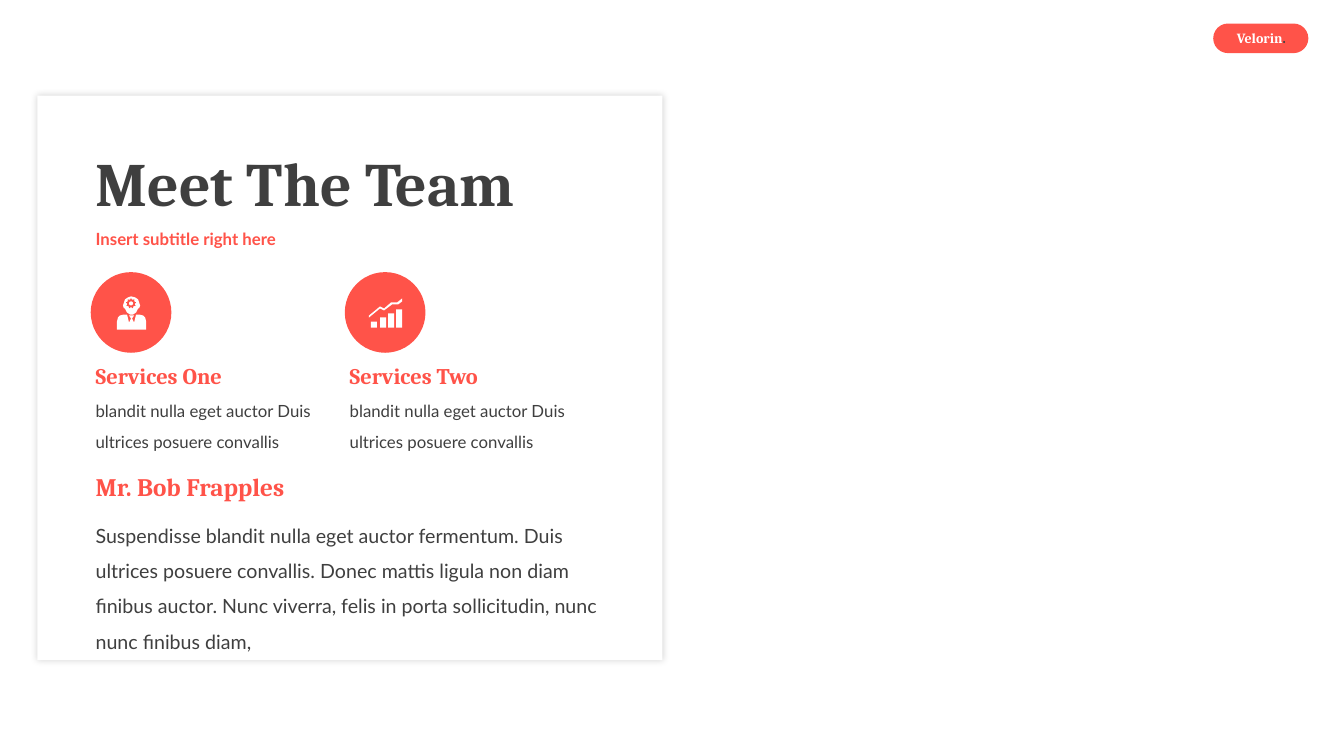
from typing import NamedTuple

from lxml import etree
from pptx import Presentation
from pptx import util as u
from pptx.dml.color import RGBColor
from pptx.enum import shapes, text
from pptx.oxml.ns import qn

PX = 9144  # EMU per px, 100 px to the inch
CORAL = RGBColor(0xFF, 0x53, 0x49)
DARK = RGBColor(0x3F, 0x3F, 0x3F)
WHITE = RGBColor(0xFF, 0xFF, 0xFF)
SERIF, SANS = "Cambria", "Lato"
KIND = shapes.MSO_SHAPE
LEFT, COLUMN_STEP = 85, 252


class Box(NamedTuple):
    x: int
    y: int
    w: int
    h: int


class Run(NamedTuple):
    words: str
    size: int
    font: str
    color: RGBColor
    bold: bool = False


class Label(NamedTuple):
    box: Box
    runs: list[Run]
    spacing: float = 1.0
    align: text.PP_ALIGN = text.PP_ALIGN.LEFT
    anchor: text.MSO_ANCHOR = text.MSO_ANCHOR.TOP


class Service(NamedTuple):
    name: str
    summary: str


def paint(sp, color: RGBColor) -> None:
    sp.shadow.inherit = False
    sp.fill.solid()
    sp.fill.fore_color.rgb = color
    sp.line.fill.background()


def add_block(parent, kind: shapes.MSO_SHAPE, box: Box, color: RGBColor):
    sp = parent.add_shape(kind, *(v * PX for v in box))
    paint(sp, color)
    return sp


def add_outline(parent, points: list[tuple[int, int]], color: RGBColor) -> None:
    builder = parent.build_freeform(*points[0], scale=PX)
    builder.add_line_segments(points[1:], close=True)
    paint(builder.convert_to_shape(), color)


def add_label(parent, label: Label) -> None:
    tf = parent.add_textbox(*(v * PX for v in label.box)).text_frame
    tf.word_wrap = True
    tf.vertical_anchor = label.anchor
    p = tf.paragraphs[0]
    p.alignment = label.align
    p.line_spacing = label.spacing
    for run in label.runs:
        r = p.add_run()
        r.text = run.words
        r.font.size = u.Pt(run.size)
        r.font.name = run.font
        r.font.bold = run.bold
        r.font.color.rgb = run.color


def add_glow(sp, blur_pt: int, opacity: int) -> None:
    effects = sp._element.spPr.find(qn("a:effectLst"))
    shadow = etree.SubElement(effects, qn("a:outerShdw"), blurRad=str(u.Pt(blur_pt)),
                              dist="0", dir="0", algn="ctr", rotWithShape="0")
    color = etree.SubElement(shadow, qn("a:srgbClr"), val="000000")
    etree.SubElement(color, qn("a:alpha"), val=str(opacity * 1000))


def add_person_icon(s) -> None:
    icon = s.shapes.add_group_shape().shapes
    # Shoulders with collar and tie
    add_outline(icon, [(116, 327), (116, 319), (117, 315), (119, 313), (123, 312),
                       (126, 312), (128, 320), (130, 316), (128, 313), (133, 313),
                       (131, 316), (133, 320), (135, 312), (138, 312), (142, 313),
                       (144, 315), (145, 319), (145, 327)], WHITE)
    # Head with a gear inside
    add_outline(icon, [(123, 300), (124, 297), (127, 295), (130, 294), (134, 295),
                       (137, 297), (138, 300), (139, 303), (138, 306), (137, 306),
                       (135, 310), (132, 312), (129, 312), (126, 310), (124, 306),
                       (123, 306), (122, 303)], WHITE)
    add_block(icon, KIND.GEAR_9, Box(125, 296, 10, 10), CORAL)
    add_block(icon, KIND.OVAL, Box(128, 299, 4, 4), WHITE)


def add_growth_icon(s) -> None:
    icon = s.shapes.add_group_shape().shapes
    for i, x in enumerate((368, 377, 385, 393)):
        height = 6 + 4 * i
        add_block(icon, KIND.RECTANGLE, Box(x, 325 - height, 6, height), WHITE)
    add_outline(icon, [(394, 300), (388, 300), (381, 306), (377, 304), (366, 313),
                       (366, 315), (377, 306), (381, 308), (389, 302), (395, 302),
                       (399, 299), (399, 296)], WHITE)


def main() -> None:
    prs = Presentation()
    prs.slide_width, prs.slide_height = 1333 * PX, 750 * PX
    s = prs.slides.add_slide(prs.slide_layouts[6])

    # Name badge
    badge = add_block(s.shapes, KIND.ROUNDED_RECTANGLE, Box(1204, 24, 93, 28), CORAL)
    badge.adjustments[0] = 0.5
    badge.line.color.rgb = CORAL
    badge.line.width = u.Pt(1)
    add_label(s.shapes, Label(Box(1213, 24, 76, 27),
                              [Run("Velorin", 10, SERIF, WHITE, True),
                               Run(".", 10, SERIF, DARK, True)],
                              align=text.PP_ALIGN.CENTER))

    # Card
    card = add_block(s.shapes, KIND.RECTANGLE, Box(37, 95, 620, 560), WHITE)
    add_glow(card, blur_pt=5, opacity=16)

    # Headings and biography
    middle = text.MSO_ANCHOR.MIDDLE
    biography = ("Suspendisse blandit nulla eget auctor fermentum. Duis ultrices posuere "
                 "convallis. Donec mattis ligula non diam finibus auctor. Nunc viverra, "
                 "felis in porta sollicitudin, nunc nunc finibus diam,")
    for label in (
        Label(Box(LEFT, 134, 750, 103), [Run("Meet The Team", 44, SERIF, DARK, True)],
              0.9, anchor=middle),
        Label(Box(LEFT, 219, 750, 38),
              [Run("Insert subtitle right here", 12, SANS, CORAL, True)], 0.9, anchor=middle),
        Label(Box(LEFT, 503, 544, 112), [Run(biography, 14, SANS, DARK)], 1.5),
        Label(Box(LEFT, 463, 243, 40), [Run("Mr. Bob Frapples", 18, SERIF, CORAL, True)]),
    ):
        add_label(s.shapes, label)

    # Service columns
    summary = "blandit nulla eget auctor Duis ultrices posuere convallis"
    for i, service in enumerate((Service("Services One", summary),
                                 Service("Services Two", summary))):
        x = LEFT + i * COLUMN_STEP
        add_block(s.shapes, KIND.OVAL, Box(x + 5, 270, 80, 80), CORAL)
        add_label(s.shapes, Label(Box(x, 383, 243, 67),
                                  [Run(service.summary, 12, SANS, DARK)], 1.5))
        add_label(s.shapes, Label(Box(x, 354, 195, 37),
                                  [Run(service.name, 16, SERIF, CORAL, True)]))
    add_person_icon(s)
    add_growth_icon(s)

    prs.save("out.pptx")


if __name__ == "__main__":
    main()
